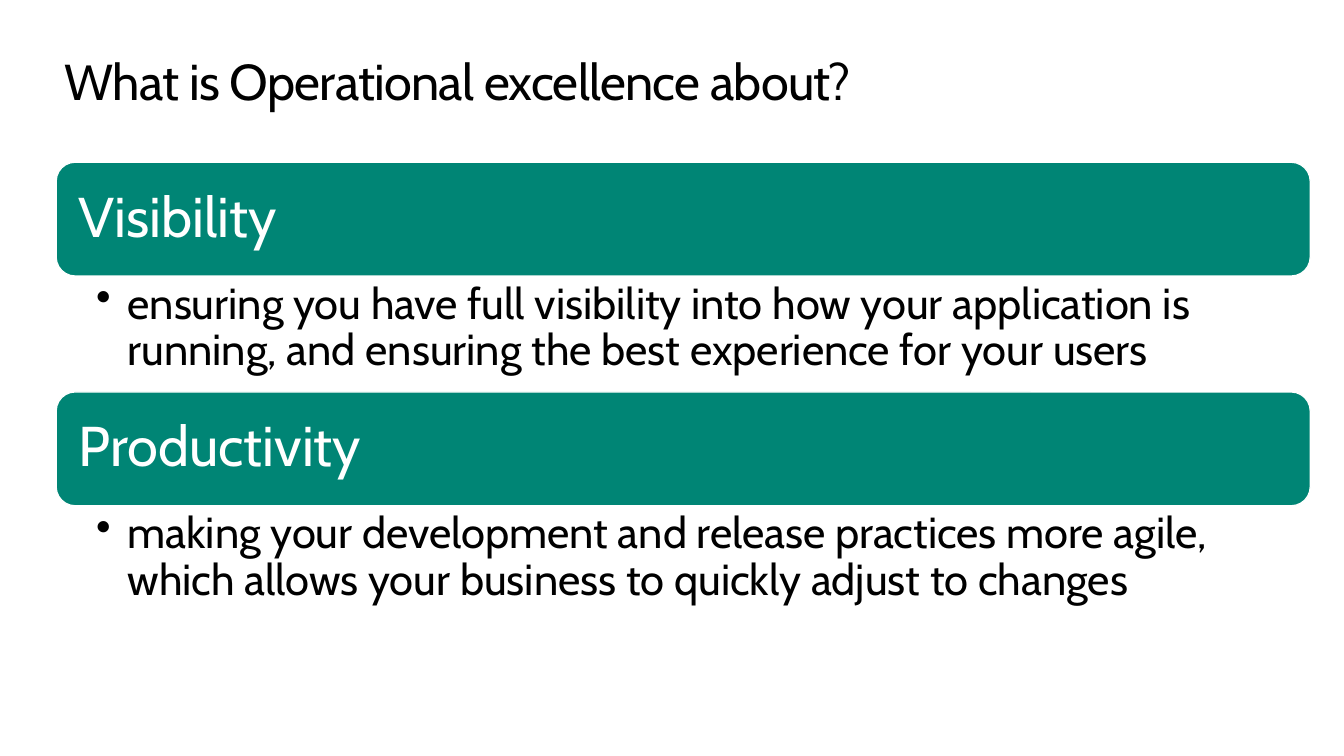
import pptx
import pptx.dml.color
import pptx.enum.shapes
import pptx.enum.text
import pptx.oxml
import pptx.oxml.ns
import pptx.util
from lxml import etree

Pt = pptx.util.Pt
RGBColor = pptx.dml.color.RGBColor
ANCHOR = pptx.enum.text.MSO_ANCHOR
LEFT = pptx.enum.text.PP_ALIGN.LEFT

# Content
HEADLINE = "What is Operational excellence about?"
PILLARS = [
    ("Visibility",
     "ensuring you have full visibility into how your application is running, "
     "and ensuring the best experience for your users"),
    ("Productivity",
     "making your development and release practices more agile, "
     "which allows your business to quickly adjust to changes"),
]

# Style
FONT = "Cabin"
BLACK = RGBColor(0, 0, 0)
WHITE = RGBColor(255, 255, 255)
TEAL = RGBColor(0x00, 0x85, 0x75)

# Layout, in points
PILLAR_LEFT, PILLAR_TOP, PILLAR_WIDTH = 40.2, 115.9, 895.7
BAR_HEIGHT, DETAIL_HEIGHT = 81.2, 82.9
BULLET_INDENT = 22.5


def write(shape, text, size, color, anchor, insets, line_spacing=1.0):
    """Fill a shape with one formatted paragraph and return that paragraph."""
    frame = shape.text_frame
    frame.word_wrap = True
    frame.vertical_anchor = anchor
    sides = ("margin_left", "margin_top", "margin_right", "margin_bottom")
    for side, inset in zip(sides, insets):
        setattr(frame, side, Pt(inset))
    paragraph = frame.paragraphs[0]
    paragraph.alignment = LEFT
    paragraph.line_spacing = line_spacing
    run = paragraph.add_run()
    run.text = text
    for name, value in {"name": FONT, "size": Pt(size), "bold": False}.items():
        setattr(run.font, name, value)
    run.font.color.rgb = color
    return paragraph


def add_bullet(paragraph):
    properties = paragraph._p.get_or_add_pPr()
    indent = int(Pt(BULLET_INDENT))
    properties.set("marL", str(indent))
    properties.set("indent", str(-indent))
    bullet = etree.SubElement(properties, pptx.oxml.ns.qn("a:buChar"))
    bullet.set("char", "•")


deck = pptx.Presentation()
deck.slide_width, deck.slide_height = Pt(960), Pt(540)
slide = deck.slides.add_slide(deck.slide_layouts[5])

# Title
headline = slide.shapes.title
placement = {"left": 46, "top": 36, "width": 867.6, "height": 44}
for name, value in placement.items():
    setattr(headline, name, Pt(value))
headline_line = write(headline, HEADLINE, 36, BLACK, ANCHOR.TOP, (0, 0, 0, 0))
headline.text_frame.auto_size = pptx.enum.text.MSO_AUTO_SIZE.SHAPE_TO_FIT_TEXT
headline_line.runs[0]._r.get_or_add_rPr().set("spc", "-50")

# Pillars: a coloured bar with its explanation below
for index, (pillar, explanation) in enumerate(PILLARS):
    top = PILLAR_TOP + index * (BAR_HEIGHT + DETAIL_HEIGHT)

    bar = slide.shapes.add_shape(
        pptx.enum.shapes.MSO_SHAPE.ROUNDED_RECTANGLE,
        Pt(PILLAR_LEFT), Pt(top), Pt(PILLAR_WIDTH), Pt(BAR_HEIGHT))
    bar.shadow.inherit = False
    bar.fill.solid()
    bar.fill.fore_color.rgb = TEAL
    bar.line.color.rgb = WHITE
    bar.line.width = Pt(0.85)
    write(bar, pillar, 40, WHITE, ANCHOR.MIDDLE, (12, 12, 12, 12), 0.9)

    detail = slide.shapes.add_textbox(
        Pt(PILLAR_LEFT), Pt(top + BAR_HEIGHT), Pt(PILLAR_WIDTH), Pt(DETAIL_HEIGHT))
    add_bullet(write(detail, explanation, 31, BLACK, ANCHOR.TOP,
                     (28.5, 4, 22.3, 4), 0.9))

deck.save("out.pptx")
